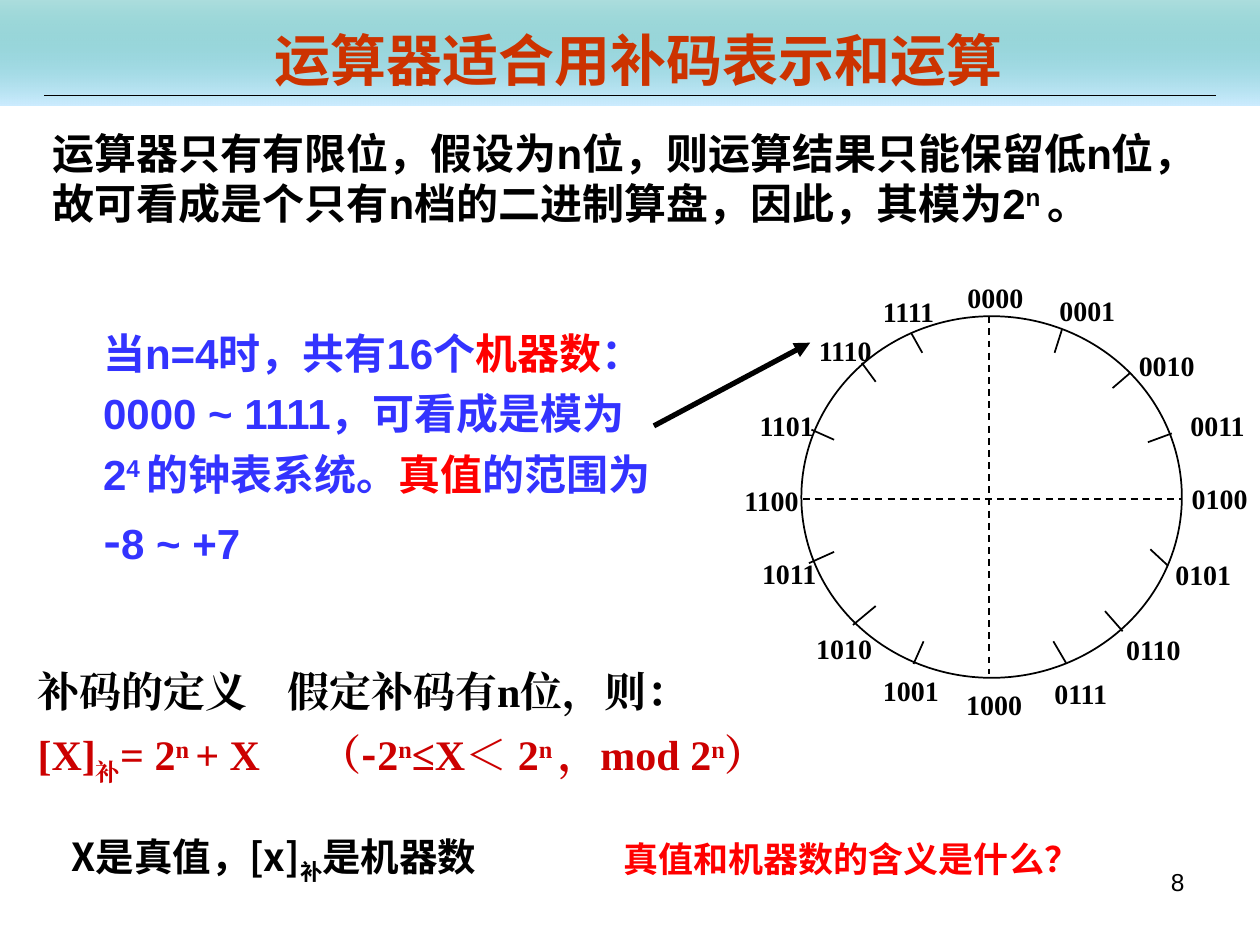
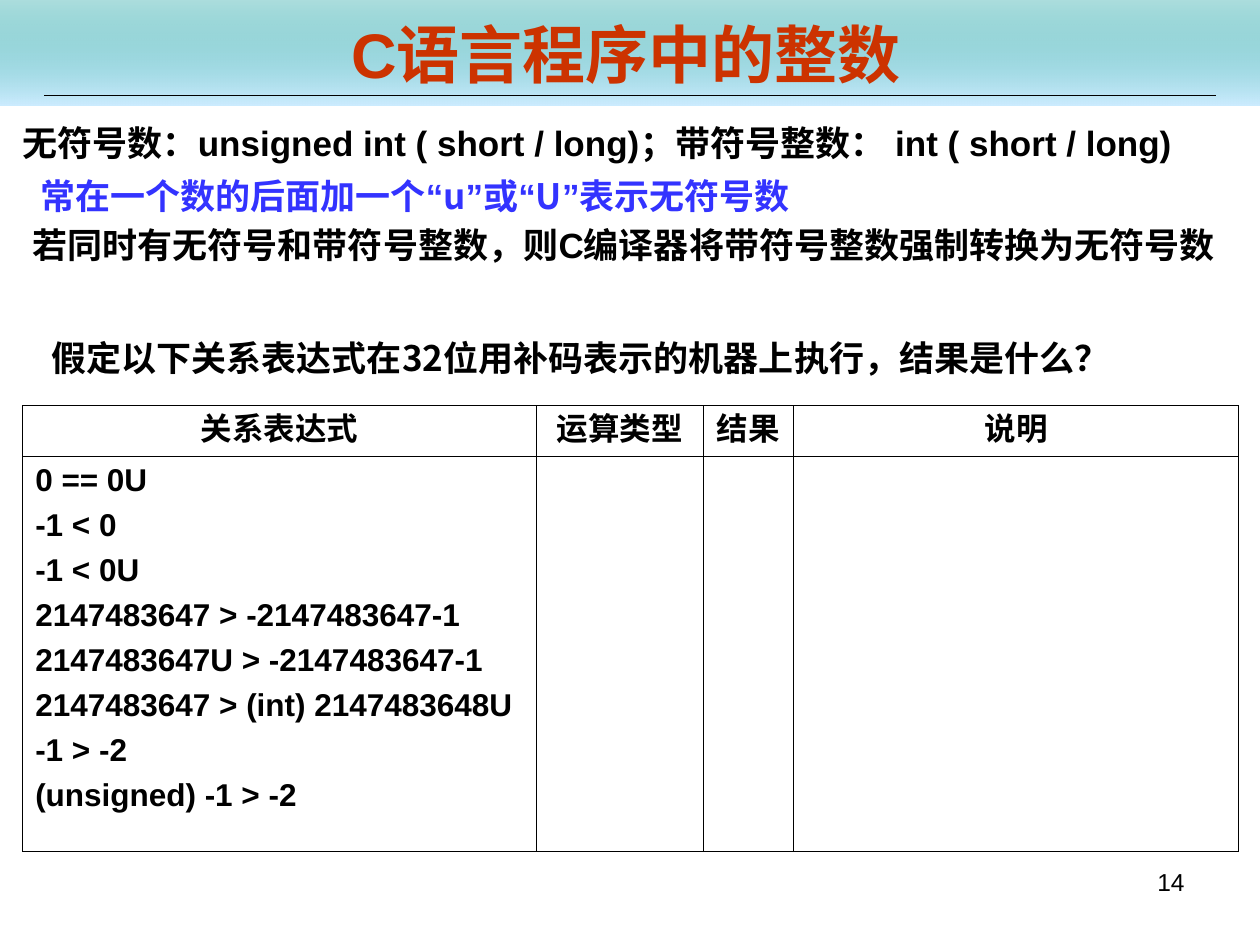
from typing import NamedTuple, Optional

from lxml.etree import SubElement
from pptx import Presentation
from pptx.dml.color import RGBColor as RGB
from pptx.enum.dml import MSO_LINE as Dash
from pptx.enum.shapes import MSO_CONNECTOR as Link, MSO_SHAPE as Kind
from pptx.enum.text import MSO_ANCHOR as Anchor, PP_ALIGN as Align
from pptx.oxml.ns import qn
from pptx.util import Emu, Pt

PX = 9144  # 100 px to the inch

BLACK = RGB(0x00, 0x00, 0x00)
RUST = RGB(0xCC, 0x33, 0x00)
BLUE = RGB(0x33, 0x33, 0xFF)
RED = RGB(0xFF, 0x00, 0x00)
CRIMSON = RGB(0xCC, 0x00, 0x00)
TEAL = RGB(0x00, 0x99, 0x99)
SKY = RGB(0xCC, 0xEC, 0xFF)

SANS = "Arial"
SERIF = "Times New Roman"
HAN = "Noto Sans CJK SC"


class Box(NamedTuple):
    left: int
    top: int
    width: int
    height: int


class Run(NamedTuple):
    """A stretch of text; unset fields follow the format of its box."""
    text: str
    color: Optional[RGB] = None
    font: Optional[str] = None
    size: Optional[int] = None
    base: int = 0


class Hour(NamedTuple):
    """Label corner and tick ends of one code on the dial."""
    left: int
    top: int
    tick: Optional[tuple] = None


NUMBER = Box(717, 683, 233, 52)
DIAL = Box(636, 251, 302, 287)
HOURS = [
    Hour(758, 218),
    Hour(831, 228, (837, 280, 843, 261)),
    Hour(894, 272, (883, 308, 897, 296)),
    Hour(935, 319, (911, 351, 930, 344)),
    Hour(936, 377),
    Hour(923, 438, (913, 436, 927, 449)),
    Hour(884, 497, (877, 485, 891, 501)),
    Hour(827, 532, (836, 509, 846, 526)),
    Hour(757, 541),
    Hour(691, 530, (725, 527, 733, 509)),
    Hour(638, 496, (695, 481, 677, 496)),
    Hour(595, 437, (662, 438, 642, 447)),
    Hour(581, 379),
    Hour(593, 319, (662, 349, 644, 341)),
    Hour(640, 260, (684, 288, 695, 303)),
    Hour(691, 229, (723, 264, 732, 280)),
]

HEADS = ["关系表达式", "运算类型", "结果", "说明"]
WIDTHS = [408, 132, 72, 353]
TESTS = [
    "0 == 0U",
    "-1 < 0",
    "-1 < 0U",
    "2147483647 > -2147483647-1",
    "2147483647U > -2147483647-1",
    "2147483647 > (int) 2147483648U",
    "-1 > -2",
    "(unsigned) -1 > -2",
]


def emu(*lengths: int) -> list:
    return [Emu(length * PX) for length in lengths]


def write(frame, *paras, size=20, font=SANS, color=BLACK, bold=True,
          align=Align.LEFT, lead=None, gap=0, tabs=(), inset=(10, 5), wrap=True):
    """Fill a text frame; a paragraph is a string or a list of strings and Runs."""
    frame.word_wrap = wrap
    frame.margin_left = frame.margin_right = Emu(inset[0] * PX)
    frame.margin_top = frame.margin_bottom = Emu(inset[1] * PX)
    for i, para in enumerate(paras):
        p = frame.add_paragraph() if i else frame.paragraphs[0]
        if i < len(tabs):
            stops = SubElement(p._p.get_or_add_pPr(), qn("a:tabLst"))
            SubElement(stops, qn("a:tab"), pos=str(tabs[i] * PX), algn="l")
        p.alignment = align
        if lead:
            p.line_spacing = lead
        if i and gap:
            p.space_before = Pt(gap)
        for part in [para] if isinstance(para, str) else para:
            part = Run(part) if isinstance(part, str) else part
            run = p.add_run()
            run.text = part.text
            face = run.font
            face.name = part.font or font
            face.size = Pt(part.size or size)
            face.bold = bold
            face.color.rgb = part.color or color
            props = run._r.get_or_add_rPr()
            SubElement(props, qn("a:ea"), typeface=face.name)
            if part.base:
                props.set("baseline", str(part.base * 1000))


def text(slide, box: Box, *paras, **style):
    frame = slide.shapes.add_textbox(*emu(*box)).text_frame
    write(frame, *paras, **style)


def line(slide, ends: tuple, width=1.0, dash=False, arrow=False):
    link = slide.shapes.add_connector(Link.STRAIGHT, *emu(*ends))
    link.line.color.rgb = BLACK
    link.line.width = Pt(width)
    if dash:
        link.line.dash_style = Dash.DASH
    if arrow:
        SubElement(link.line._get_or_add_ln(), qn("a:tailEnd"), type="triangle")
    SubElement(link._element.spPr, qn("a:effectLst"))


def band(slide):
    """Draw the tinted strip and the rule behind the title."""
    strip = slide.shapes.add_shape(Kind.RECTANGLE, *emu(0, 0, 1000, 84))
    strip.shadow.inherit = False
    strip.line.fill.background()
    strip.fill.gradient()
    strip.fill.gradient_angle = 270
    stops = strip.fill.gradient_stops
    for stop, color, place in zip(stops, (TEAL, SKY), (0, 1)):
        stop.color.rgb = color
        stop.position = place
    tint = strip._element.spPr.find(".//" + qn("a:srgbClr"))
    SubElement(tint, qn("a:alpha"), val="32000")
    line(slide, (35, 76, 965, 76), width=0.75)


def start(deck, title: str, box: Box, size: int, number: int):
    """Add a slide with its band, title and page number."""
    slide = deck.slides.add_slide(deck.slide_layouts[5])
    band(slide)
    head = slide.shapes.title
    slide.shapes._spTree.append(head._element)  # in front of the band
    head.left, head.top, head.width, head.height = emu(*box)
    head.text_frame.vertical_anchor = Anchor.MIDDLE
    write(head.text_frame, title, size=size, color=RUST,
          align=Align.CENTER, inset=(7, 3))
    text(slide, NUMBER, str(number), size=14, bold=False, align=Align.RIGHT)
    return slide


def dial(slide):
    """Draw the clock of the sixteen 4-bit codes."""
    ring = slide.shapes.add_shape(Kind.OVAL, *emu(*DIAL))
    ring.shadow.inherit = False
    ring.fill.background()
    ring.line.color.rgb = BLACK
    ring.line.width = Pt(1)
    line(slide, (637, 396, 938, 396), dash=True)
    line(slide, (785, 251, 785, 535), dash=True)
    for code, hour in enumerate(HOURS):
        text(slide, Box(hour.left, hour.top, 64, 37), f"{code:04b}",
             size=16, font=SERIF, wrap=False)
        if hour.tick:
            line(slide, hour.tick)


def grid(slide):
    """Draw the table of comparisons to be worked out."""
    frame = slide.shapes.add_table(2, len(HEADS), *emu(18, 322, sum(WIDTHS), 354))
    table = frame.table
    table.first_row = table.horz_banding = False
    for column, width in zip(table.columns, WIDTHS):
        column.width = Emu(width * PX)
    for row, height in zip(table.rows, (40, 314)):
        row.height = Emu(height * PX)
    for cell in table.iter_cells():
        props = cell._tc.get_or_add_tcPr()
        for side in ("a:lnL", "a:lnR", "a:lnT", "a:lnB"):
            edge = SubElement(props, qn(side), w=str(Pt(0.45)))
            SubElement(SubElement(edge, qn("a:solidFill")),
                       qn("a:srgbClr"), val=str(BLACK))
        cell.fill.background()
    for i, head in enumerate(HEADS):
        write(table.cell(0, i).text_frame, head, size=18, align=Align.CENTER)
    write(table.cell(1, 0).text_frame, *TESTS, size=18, gap=5.6)


def codes(deck):
    slide = start(deck, "运算器适合用补码表示和运算", Box(53, 17, 908, 59), 32, 8)
    dial(slide)
    text(slide, Box(32, 96, 946, 90),
         ["运算器只有有限位，假设为n位，则运算结果只能保留低n位，"
          "故可看成是个只有n档的二进制算盘，因此，其模为2",
          Run("n ", base=30), "。"], size=24)
    text(slide, Box(72, 247, 463, 210),
         ["当n=4时，共有16个", Run("机器数", RED),
          "：0000 ~ 1111，可看成是模为2", Run("4 ", base=30), "的钟表系统。",
          Run("真值", RED), "的范围为 ", Run("-", font=HAN, size=28), "8 ~ +7"],
         size=24, color=BLUE, lead=1.2)
    line(slide, (519, 338, 643, 272), width=3, arrow=True)
    power = Run("n", CRIMSON, base=30)
    space = Run("n ", CRIMSON, base=30)
    text(slide, Box(20, 523, 795, 106),
         "补码的定义\t假定补码有n位，则：",
         [Run("[X]", CRIMSON), Run("补", CRIMSON, base=-25),
          Run("= 2", CRIMSON), space, Run("+ X\t（", CRIMSON),
          Run("-", CRIMSON, HAN), Run("2", CRIMSON), power,
          Run("≤X＜ 2", CRIMSON), space, Run("，mod 2", CRIMSON), power,
          Run("）", CRIMSON)],
         size=24, font=SERIF, gap=7.5, tabs=(198, 224))
    text(slide, Box(47, 656, 359, 89),
         ["X是真值，[x]", Run("补", base=-25), "是机器数"], size=22, font=HAN)
    text(slide, Box(485, 660, 463, 44), "真值和机器数的含义是什么？", color=RED)


def ints(deck):
    slide = start(deck, "C语言程序中的整数", Box(47, 9, 900, 66), 36, 14)
    grid(slide)
    text(slide, Box(8, 85, 958, 50),
         "无符号数：unsigned int ( short / long)；带符号整数： int ( short / long)",
         lead=1.2, wrap=False)
    left, right = Run("“", font=SANS), Run("”", font=SANS)
    text(slide, Box(22, 127, 743, 50),
         ["常在一个数的后面加一个", left, "u", right, "或", left, "U", right,
          "表示无符号数"], font=HAN, color=BLUE, lead=1.2)
    text(slide, Box(16, 166, 977, 50),
         "若同时有无符号和带符号整数，则C编译器将带符号整数强制转换为无符号数", lead=1.2)
    text(slide, Box(31, 262, 893, 44),
         "假定以下关系表达式在32位用补码表示的机器上执行，结果是什么？", font=HAN)


def main():
    deck = Presentation()
    deck.slide_width, deck.slide_height = emu(1000, 750)
    codes(deck)
    ints(deck)
    deck.save("out.pptx")


if __name__ == "__main__":
    main()
